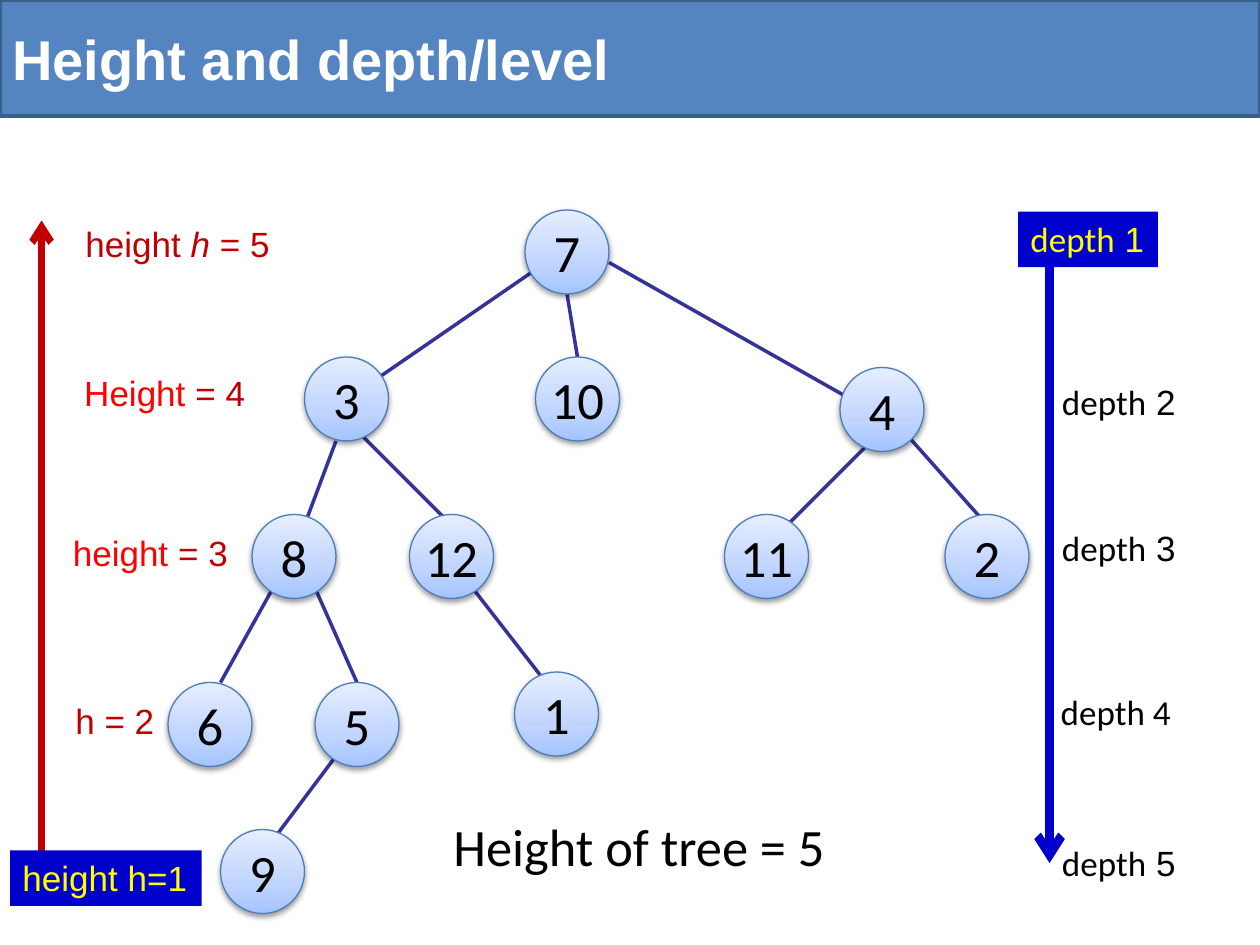
from dataclasses import dataclass

from lxml.etree import SubElement
from pptx import Presentation
from pptx.dml.color import RGBColor
from pptx.enum.shapes import MSO_CONNECTOR, MSO_SHAPE
from pptx.enum.text import MSO_ANCHOR, MSO_AUTO_SIZE, PP_ALIGN
from pptx.oxml import parse_xml
from pptx.oxml.ns import nsdecls, qn
from pptx.util import Inches, Pt


@dataclass(frozen=True)
class Theme:
    """Colours, fonts and type sizes of the slide."""
    banner: str = "5485C0"
    banner_line: str = "3A5F8C"
    edge: str = "333399"
    node_line: str = "4B7EBC"
    node_stops: tuple = ((0, "A4C4FF"), (35, "BFD4FF"), (100, "E6EEFF"))
    white: str = "FFFFFF"
    black: str = "000000"
    dark_red: str = "C00000"
    red: str = "FF0000"
    blue: str = "0000CC"
    yellow: str = "FFFF00"
    sans: str = "Arial"
    body: str = "Calibri"
    title_size: int = 32
    node_size: int = 30
    label_size: int = 20


THEME = Theme()
GRID = 1 / 12
NODE_SPAN = 8
LABEL_HEIGHT = 0.44
NODES = {
    "7": (34, 0), "3": (13, 14), "10": (35, 14), "4": (64, 15),
    "8": (8, 29), "12": (23, 29), "11": (53, 29), "2": (74, 29),
    "1": (33, 44), "6": (0, 45), "5": (14, 45), "9": (5, 59),
}
EDGES = [
    ((38, 8), (39, 14)), ((36, 5), (20, 16)), ((42, 5), (65, 18)),
    ((16, 22), (13, 30)), ((18, 21), (27, 30)), ((14, 36), (18, 45)),
    ((16, 52), (10, 60)), ((29, 36), (36, 45)), ((67, 22), (58, 31)),
    ((70, 21), (78, 30)), ((10, 36), (5, 45)),
]


def add_run(paragraph, text, size, font, color, bold=False, italic=False):
    """Append one formatted run to a paragraph."""
    run = paragraph.add_run()
    run.text = text
    run.font.size = Pt(size)
    run.font.name = font
    run.font.bold = bold
    run.font.italic = italic
    run.font.color.rgb = RGBColor.from_string(color)


def add_line(slide, start, end, color, width, arrow=False):
    """Draw a straight line, with an arrowhead at its end if asked."""
    line = slide.shapes.add_connector(
        MSO_CONNECTOR.STRAIGHT, *(Inches(value) for value in (*start, *end)))
    line.line.color.rgb = RGBColor.from_string(color)
    line.line.width = Pt(width)
    if arrow:
        SubElement(line.line._get_or_add_ln(), qn("a:tailEnd"), type="arrow")
    SubElement(line._element.spPr, qn("a:effectLst"))


def add_label(slide, left, top, width, runs, fill=None):
    """Place a one-line label made of (text, font, color, italic) runs."""
    label = slide.shapes.add_textbox(
        Inches(left), Inches(top), Inches(width), Inches(LABEL_HEIGHT))
    if fill:
        label.fill.solid()
        label.fill.fore_color.rgb = RGBColor.from_string(fill)
    frame = label.text_frame
    frame.word_wrap = False
    frame.auto_size = MSO_AUTO_SIZE.SHAPE_TO_FIT_TEXT
    for text, font, color, italic in runs:
        add_run(frame.paragraphs[0], text, THEME.label_size, font, color, italic=italic)


def add_node(slide, left, top, text):
    """Draw one shaded tree node with its key."""
    size = Inches(NODE_SPAN * GRID)
    node = slide.shapes.add_shape(
        MSO_SHAPE.OVAL, Inches(left), Inches(top), size, size)
    node.line.color.rgb = RGBColor.from_string(THEME.node_line)
    node.line.width = Pt(0.75)
    stops = "".join(
        f'<a:gs pos="{position * 1000}"><a:srgbClr val="{color}"/></a:gs>'
        for position, color in THEME.node_stops)
    properties = node._element.spPr
    properties.find(qn("a:prstGeom")).addnext(parse_xml(
        f'<a:gradFill {nsdecls("a")} rotWithShape="1"><a:gsLst>{stops}</a:gsLst>'
        '<a:lin ang="16200000" scaled="0"/></a:gradFill>'))
    properties.append(parse_xml(
        f'<a:effectLst {nsdecls("a")}><a:outerShdw blurRad="40000" dist="20000" '
        f'dir="5400000" rotWithShape="0"><a:srgbClr val="{THEME.black}">'
        '<a:alpha val="38000"/></a:srgbClr></a:outerShdw></a:effectLst>'))
    frame = node.text_frame
    frame.word_wrap = False
    frame.vertical_anchor = MSO_ANCHOR.MIDDLE
    frame.paragraphs[0].alignment = PP_ALIGN.CENTER
    add_run(frame.paragraphs[0], text, THEME.node_size, THEME.body, THEME.black)


def add_banner(slide, left, top, width, height):
    """Draw the title banner."""
    banner = slide.shapes.add_shape(
        MSO_SHAPE.RECTANGLE, *(Inches(value) for value in (left, top, width, height)))
    banner.shadow.inherit = False
    banner.fill.solid()
    banner.fill.fore_color.rgb = RGBColor.from_string(THEME.banner)
    banner.line.color.rgb = RGBColor.from_string(THEME.banner_line)
    banner.line.width = Pt(2)
    frame = banner.text_frame
    frame.word_wrap = True
    frame.vertical_anchor = MSO_ANCHOR.MIDDLE
    frame.paragraphs[0].alignment = PP_ALIGN.LEFT
    add_run(frame.paragraphs[0], "Height and depth/level",
            THEME.title_size, THEME.sans, THEME.white, bold=True)


def add_tree(slide, left, top):
    """Draw the edges and then the nodes on a twelfth-inch grid."""
    def place(point):
        """Turn a grid point into slide inches."""
        return left + point[0] * GRID, top + point[1] * GRID

    for start, end in EDGES:
        add_line(slide, place(start), place(end), THEME.edge, 2)
    for key, corner in NODES.items():
        add_node(slide, *place(corner), key)


def add_height_scale(slide, left, top):
    """Draw the upward arrow and the height labels."""
    sans, dark, red = THEME.sans, THEME.dark_red, THEME.red
    add_line(slide, (left + 0.25, top + 5.11), (left + 0.25, top + 0.03), dark, 4, arrow=True)
    labels = [
        (0.5, 0, 1.67, [("height ", sans, dark, False), ("h", sans, dark, True),
                        (" = 5", sans, dark, False)], None),
        (0.49, 1.18, 1.49, [("Height ", sans, red, False), ("= 4", sans, dark, False)], None),
        (0.4, 2.45, 1.44, [("height ", sans, red, False), ("= 3", sans, dark, False)], None),
        (0.42, 3.78, 0.83, [("h = 2", sans, dark, False)], None),
        (0, 5.03, 1.52, [("height h=1", sans, THEME.yellow, False)], THEME.blue),
    ]
    for across, down, width, runs, fill in labels:
        add_label(slide, left + across, top + down, width, runs, fill)


def add_depth_scale(slide, left, top):
    """Draw the depth labels and the downward arrow."""
    labels = [(0, 0), (0.25, 1.29), (0.25, 2.45), (0.24, 3.75), (0.25, 4.95)]
    for depth, (across, down) in enumerate(labels, start=1):
        color, fill = (THEME.yellow, THEME.blue) if depth == 1 else (THEME.black, None)
        number_font = THEME.body if depth == 4 else THEME.sans
        runs = [("depth", THEME.body, color, False), (f" {depth}", number_font, color, False)]
        add_label(slide, left + across, top + down, 1.11, runs, fill)
    add_line(slide, (left + 0.25, top + 0.4), (left + 0.25, top + 5.17),
             THEME.blue, 5, arrow=True)


def add_summary(slide, left, top, width, height):
    """Write the height of the whole tree."""
    summary = slide.shapes.add_textbox(
        *(Inches(value) for value in (left, top, width, height)))
    summary.text_frame.word_wrap = True
    summary.text_frame.auto_size = MSO_AUTO_SIZE.SHAPE_TO_FIT_TEXT
    add_run(summary.text_frame.paragraphs[0], "Height of tree = 5",
            THEME.node_size, THEME.body, THEME.black)


def main():
    """Build and save the slide."""
    presentation = Presentation()
    presentation.slide_width = Inches(10)
    presentation.slide_height = Inches(7.5)
    slide = presentation.slides.add_slide(presentation.slide_layouts[6])
    add_banner(slide, 0, 0, 10, 0.92)
    add_tree(slide, 16 * GRID, 20 * GRID)
    add_height_scale(slide, 0.08, 1.72)
    add_depth_scale(slide, 8.08, 1.68)
    add_summary(slide, 3.5, 6.41, 3.83, 0.61)
    presentation.save("out.pptx")


if __name__ == "__main__":
    main()
